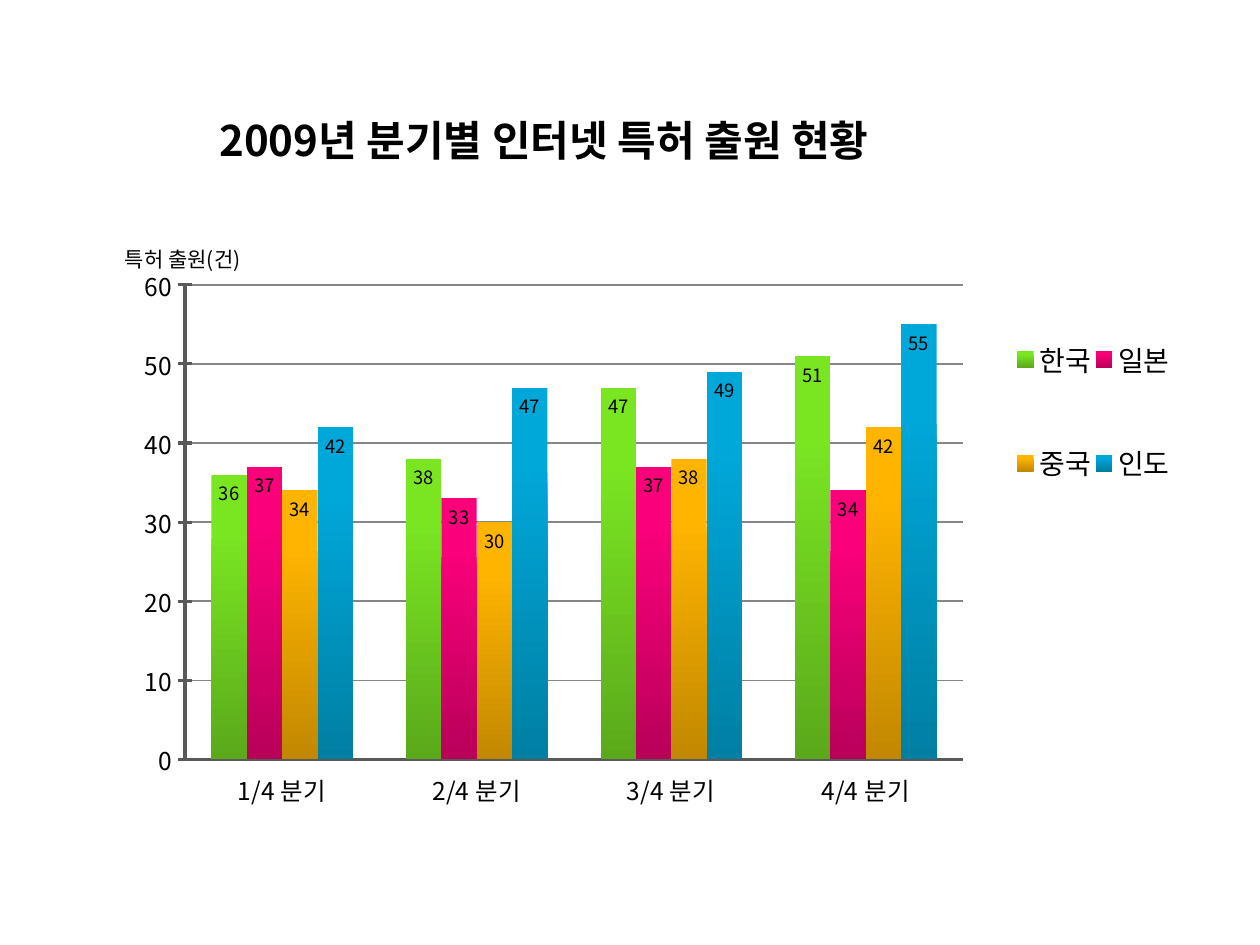
from lxml import etree
from pptx import Presentation
from pptx import util as u
from pptx.chart import data
from pptx.dml.color import RGBColor
from pptx.enum import chart as ch, text
from pptx.oxml import ns

# Content
HEADING = "2009년 분기별 인터넷 특허 출원 현황"
AXIS_CAPTION = "특허 출원(건)"
QUARTERS = ["1/4 분기", "2/4 분기", "3/4 분기", "4/4 분기"]
COUNTRIES = [  # name, filings, top colour, bottom colour
    ("한국", (36, 38, 47, 51), "7AE622", "5BA91B"),
    ("일본", (37, 33, 37, 34), "FA007A", "B80059"),
    ("중국", (34, 30, 38, 42), "FFB400", "C28800"),
    ("인도", (42, 47, 49, 55), "00A8DA", "007FA3"),
]
FONT = "Noto Sans CJK KR"
BLACK, AXIS_GREY, GRID_GREY = "000000", "595959", "868686"


def rgb(value):
    return RGBColor.from_string(value)


def set_font(font, size, bold=False):
    for key, value in {"size": u.Pt(size), "bold": bold, "name": FONT}.items():
        setattr(font, key, value)
    font.color.rgb = rgb(BLACK)
    latin = font._element.find(ns.qn("a:latin"))
    east_asian = etree.Element(ns.qn("a:ea"), typeface=FONT)
    latin.addnext(east_asian)


def set_line(line, color, width):
    line.color.rgb = rgb(color)
    line.width = u.Pt(width)


def place(part, before, inner=False, **fractions):
    """Give a chart part a manual layout, as fractions of the chart."""
    for old in part.findall(ns.qn("c:layout")):
        part.remove(old)
    layout = etree.Element(ns.qn("c:layout"))
    manual = etree.SubElement(layout, ns.qn("c:manualLayout"))
    settings = [("layoutTarget", "inner")] if inner else []
    settings += [("xMode", "edge"), ("yMode", "edge"), *fractions.items()]
    for tag, value in settings:
        etree.SubElement(manual, ns.qn(f"c:{tag}"), val=str(value))
    part.find(ns.qn(before)).addprevious(layout)


prs = Presentation()
prs.slide_width, prs.slide_height = u.Cm(25.4), u.Cm(19.05)
slide = prs.slides.add_slide(prs.slide_layouts[5])

# Chart
quarterly = data.CategoryChartData()
quarterly.categories = QUARTERS
for name, filings, _, _ in COUNTRIES:
    quarterly.add_series(name, filings)
chart = slide.shapes.add_chart(
    ch.XL_CHART_TYPE.COLUMN_CLUSTERED,
    u.Cm(2.18), u.Cm(2.97), u.Cm(21.82), u.Cm(14.38), quarterly).chart
chart.has_title = False
set_font(chart.font, 18)
plot = chart.plots[0]
plot.gap_width, plot.overlap, plot.vary_by_categories = 150, 0, False
place(chart._chartSpace.chart.plotArea, "c:barChart", inner=True,
      x=0.071, y=0.193, w=0.719, h=0.665)

# Columns with a vertical shade and their values
for series, (_, _, top, bottom) in zip(plot.series, COUNTRIES):
    fill = series.format.fill
    fill.gradient()
    fill.gradient_angle = 270
    for stop, color, position in zip(fill.gradient_stops, (top, bottom), (0.2, 1)):
        stop.color.rgb = rgb(color)
        stop.position = position
    labels = series.data_labels
    labels.show_value = True
    labels.position = ch.XL_LABEL_POSITION.INSIDE_END
    set_font(labels.font, 10.5)

# Axes
quarter_axis, filings_axis = chart.category_axis, chart.value_axis
for axis, tick in ((quarter_axis, ch.XL_TICK_MARK.NONE),
                   (filings_axis, ch.XL_TICK_MARK.CROSS)):
    axis.major_tick_mark, axis.minor_tick_mark = tick, ch.XL_TICK_MARK.NONE
    set_font(axis.tick_labels.font, 14)
    set_line(axis.format.line, AXIS_GREY, 1.75)
quarter_axis.tick_label_position = ch.XL_TICK_LABEL_POSITION.LOW
scale = {"minimum_scale": 0, "maximum_scale": 60, "major_unit": 10}
for key, value in scale.items():
    setattr(filings_axis, key, value)
filings_axis.has_major_gridlines = True
set_line(filings_axis.major_gridlines.format.line, GRID_GREY, 0.75)

# Horizontal axis caption above the scale
caption = filings_axis.axis_title
caption.text_frame.text = AXIS_CAPTION
caption.text_frame._txBody.bodyPr.set("rot", "0")
caption.text_frame._txBody.bodyPr.set("vert", "horz")
set_font(caption.text_frame.paragraphs[0].runs[0].font, 12)
place(caption._element, "c:overlay", x=0.012, y=0.125)

# Legend in two columns
chart.has_legend = True
legend = chart.legend
legend.position = ch.XL_LEGEND_POSITION.RIGHT
legend.include_in_layout = False
set_font(legend.font, 16)
place(legend._element, "c:overlay", x=0.835, y=0.18, w=0.15, h=0.38)

# Heading
heading = slide.shapes.title
box = {"left": 4.17, "top": 2.18, "width": 15.67, "height": 1.27}
for key, value in box.items():
    setattr(heading, key, u.Cm(value))
frame = heading.text_frame
frame.text = HEADING
frame.word_wrap = True
frame.vertical_anchor = text.MSO_ANCHOR.MIDDLE
frame.auto_size = text.MSO_AUTO_SIZE.NONE
frame.paragraphs[0].alignment = text.PP_ALIGN.LEFT
set_font(frame.paragraphs[0].runs[0].font, 24, bold=True)

prs.save("out.pptx")
